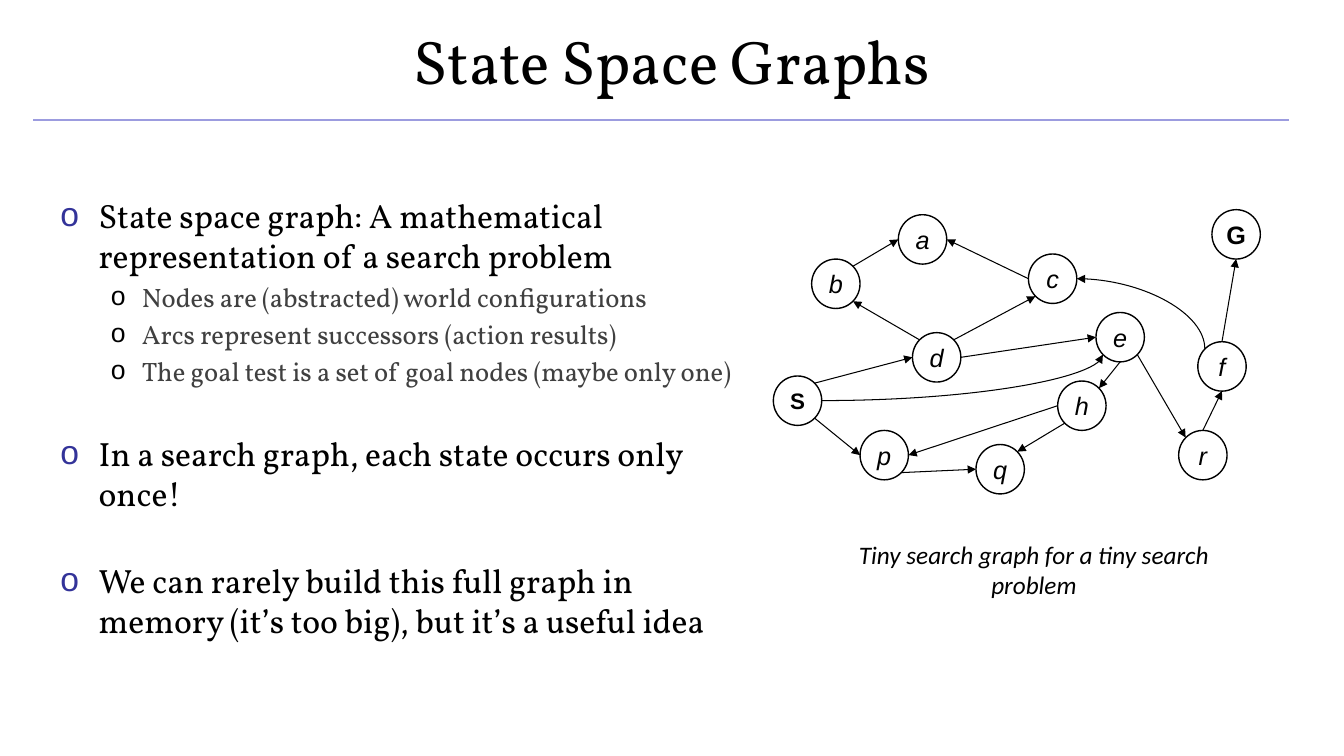
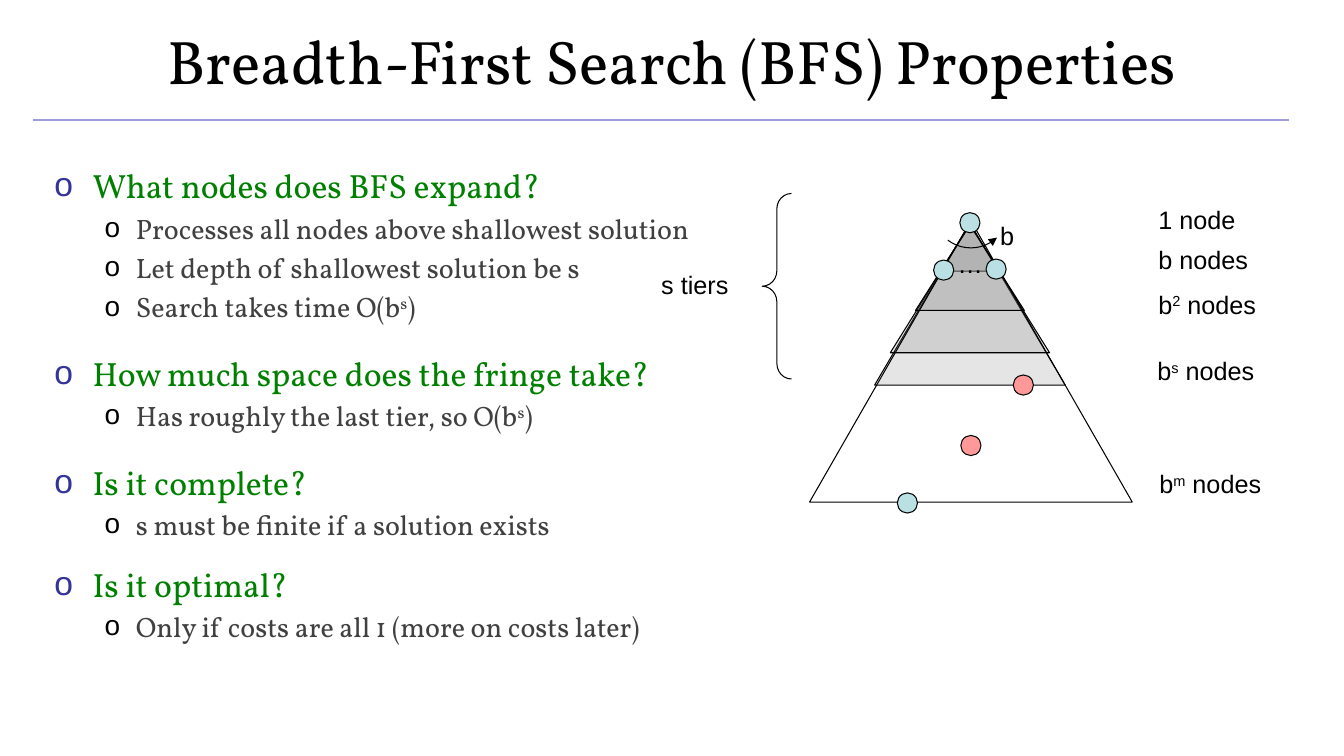
from lxml import etree
from pptx import Presentation
from pptx.dml.color import RGBColor
from pptx.enum.shapes import MSO_CONNECTOR, MSO_SHAPE
from pptx.enum.text import MSO_ANCHOR, MSO_AUTO_SIZE, PP_ALIGN
from pptx.oxml.ns import qn
from pptx.util import Inches, Pt

BLACK = RGBColor(0x00, 0x00, 0x00)
DARK_GRAY = RGBColor(0x40, 0x40, 0x40)
GRAY = RGBColor(0x80, 0x80, 0x80)
GREEN = RGBColor(0x00, 0x80, 0x00)
INDIGO = RGBColor(0x33, 0x33, 0x99)
LAVENDER = RGBColor(0x9C, 0x9C, 0xDF)
PALE_BLUE = RGBColor(0xBB, 0xE0, 0xE3)
PINK = RGBColor(0xFF, 0x99, 0x99)

SERIF, SANS, CAPTION = "Vollkorn", "Arial", "Calibri"
STRAIGHT, CURVE = MSO_CONNECTOR.STRAIGHT, MSO_CONNECTOR.CURVE
CIRCLE, OVAL = MSO_SHAPE.FLOWCHART_CONNECTOR, MSO_SHAPE.OVAL
TRIANGLE, ARC = MSO_SHAPE.ISOSCELES_TRIANGLE, MSO_SHAPE.ARC
BRACE = MSO_SHAPE.LEFT_BRACE
CENTER, LEFT, MIDDLE = PP_ALIGN.CENTER, PP_ALIGN.LEFT, MSO_ANCHOR.MIDDLE
NO_FIT = MSO_AUTO_SIZE.NONE

NODE_W, NODE_H = 0.48, 0.49
DOT = 0.2
DIAGONAL = 0.71
COMPASS = {
    "n": (0, -1), "s": (0, 1), "w": (-1, 0), "e": (1, 0),
    "nw": (-DIAGONAL, -DIAGONAL), "ne": (DIAGONAL, -DIAGONAL),
    "sw": (-DIAGONAL, DIAGONAL), "se": (DIAGONAL, DIAGONAL),
}


class Deck:
    """Holds the shared style and the slide being drawn."""

    def __init__(self):
        self.prs = Presentation()
        self.prs.slide_width, self.prs.slide_height = Inches(13.33), Inches(7.5)
        self.slide = None

    def start_slide(self, heading):
        self.slide = self.prs.slides.add_slide(self.prs.slide_layouts[5])
        title = self.slide.shapes.title
        title.left, title.top = Inches(0), Inches(-0.03)
        title.width, title.height = Inches(13.33), Inches(1.25)
        frame = title.text_frame
        frame.text = heading
        frame.auto_size, frame.vertical_anchor = NO_FIT, MIDDLE
        frame.paragraphs[0].alignment = CENTER
        self.style(frame.paragraphs[0].runs[0].font, 44, BLACK, SERIF)
        self.line((0.33, 1.19), (12.78, 1.19), color=LAVENDER, width=1)

    @staticmethod
    def style(font, size, color, name=SANS, bold=False, italic=False):
        font.name, font.size, font.bold, font.italic = name, Pt(size), bold, italic
        font.color.rgb = color

    @staticmethod
    def add_runs(paragraph, text):
        """Parts between carets are raised."""
        for number, part in enumerate(text.split("^")):
            run = paragraph.add_run()
            run.text = part
            if number % 2:
                run._r.get_or_add_rPr().set("baseline", "30000")

    @staticmethod
    def arrowhead(shape, end):
        head = etree.SubElement(shape.line._get_or_add_ln(), qn(f"a:{end}"))
        head.set("type", "triangle")

    def line(self, start, end, kind=STRAIGHT, color=BLACK, width=0.75, arrow=None):
        points = [Inches(value) for value in (*start, *end)]
        link = self.slide.shapes.add_connector(kind, *points)
        link.line.color.rgb, link.line.width = color, Pt(width)
        if arrow:
            self.arrowhead(link, arrow)
        properties = link._element.spPr
        etree.SubElement(properties, qn("a:effectLst"))
        if kind == CURVE:
            # A single bend: leaves sideways, arrives upright
            properties.find(qn("a:prstGeom")).set("prst", "curvedConnector2")

    def shape(self, kind, left, top, width, height, fill=None, line=0.75, alpha=None):
        box = [Inches(value) for value in (left, top, width, height)]
        shape = self.slide.shapes.add_shape(kind, *box)
        shape.shadow.inherit = False
        shape.line.color.rgb, shape.line.width = BLACK, Pt(line)
        if fill is None:
            shape.fill.background()
        else:
            shape.fill.solid()
            shape.fill.fore_color.rgb = fill
        if alpha:
            color = shape._element.spPr.find(qn("a:solidFill"))[0]
            etree.SubElement(color, qn("a:alpha")).set("val", str(alpha * 1000))
        return shape

    def node(self, name, left, top):
        frame = self.shape(CIRCLE, left, top, NODE_W, NODE_H, line=1).text_frame
        frame.text = name
        frame.word_wrap, frame.vertical_anchor = False, MIDDLE
        frame.paragraphs[0].alignment = CENTER
        state = name.islower()
        self.style(frame.paragraphs[0].runs[0].font, 16 if name == "S" else 18,
                   BLACK, bold=not state, italic=state)

    def dot(self, left, top, fill):
        self.shape(OVAL, left, top, DOT, DOT, fill)

    def text_box(self, left, top, width, height):
        box = [Inches(value) for value in (left, top, width, height)]
        frame = self.slide.shapes.add_textbox(*box).text_frame
        frame.word_wrap = True
        return frame

    def label(self, text, left, top, width, height=0.4, name=SANS,
              italic=False, align=LEFT):
        paragraph = self.text_box(left, top, width, height).paragraphs[0]
        self.add_runs(paragraph, text)
        paragraph.alignment = align
        for run in paragraph.runs:
            self.style(run.font, 18, BLACK, name, italic=italic)

    def outline(self, groups, left, top, width, height, color, sub_size):
        """Each group is its gap above, its main point and its sub-points."""
        frame = self.text_box(left, top, width, height)
        paragraph = frame.paragraphs[0]
        for gap, point, details in groups:
            if gap:
                paragraph = frame.add_paragraph()
            self.bullet(paragraph, point, 0, 24, color, gap)
            for detail in details:
                self.bullet(frame.add_paragraph(), detail, 1, sub_size,
                            DARK_GRAY, sub_size * 0.2)

    def bullet(self, paragraph, text, level, size, color, gap):
        self.add_runs(paragraph, text)
        paragraph.level = level
        paragraph.line_spacing, paragraph.space_before = Pt(size * 1.2), Pt(gap)
        margin, hang, mark = ((0.38, 0.38, INDIGO), (0.81, 0.31, BLACK))[level]
        properties = paragraph._p.get_or_add_pPr()
        properties.set("marL", str(Inches(margin)))
        properties.set("indent", str(-Inches(hang)))
        tint = etree.SubElement(properties, qn("a:buClr"))
        etree.SubElement(tint, qn("a:srgbClr")).set("val", str(mark))
        etree.SubElement(properties, qn("a:buFont")).set("typeface", SANS)
        etree.SubElement(properties, qn("a:buChar")).set("char", "o")
        for run in paragraph.runs:
            self.style(run.font, size, color, SERIF)


def state_space_graphs(deck):
    deck.start_slide("State Space Graphs")
    deck.outline([
        (0, "State space graph: A mathematical representation of a search problem",
         ["Nodes are (abstracted) world configurations",
          "Arcs represent successors (action results)",
          "The goal test is a set of goal nodes (maybe only one)"]),
        (33, "In a search graph, each state occurs only once!", []),
        (33, "We can rarely build this full graph in memory (it’s too big), "
             "but it’s a useful idea", []),
    ], 0.5, 1.88, 6.92, 4.88, BLACK, 19)

    # Graph nodes
    nodes = {
        "S": (7.67, 3.73), "G": (12.02, 2.08), "d": (9.05, 3.3), "b": (8.05, 2.57),
        "p": (8.53, 4.27), "q": (9.68, 4.41), "c": (10.2, 2.52), "e": (10.87, 3.1),
        "h": (10.49, 3.78), "a": (8.91, 2.13), "f": (11.88, 3.39), "r": (11.69, 4.27),
    }
    for name, place in nodes.items():
        deck.node(name, *place)

    def port(name, side):
        (left, top), (across, down) = nodes[name], COMPASS[side]
        return left + NODE_W / 2 * (1 + across), top + NODE_H / 2 * (1 + down)

    # Graph arcs: node and side at each end
    for source, out, target, into in (
        ("S", "se", "p", "w"), ("p", "se", "q", "w"), ("h", "sw", "q", "ne"),
        ("h", "w", "p", "e"), ("e", "s", "h", "ne"), ("e", "se", "r", "nw"),
        ("r", "n", "f", "s"), ("f", "n", "G", "s"), ("S", "ne", "d", "w"),
        ("d", "nw", "b", "se"), ("b", "ne", "a", "w"), ("c", "w", "a", "e"),
        ("d", "ne", "c", "sw"), ("d", "e", "e", "w"),
    ):
        deck.line(port(source, out), port(target, into), arrow="tailEnd")
    deck.line(port("c", "e"), port("f", "nw"), CURVE, arrow="headEnd")
    deck.line(port("S", "e"), port("e", "sw"), CURVE, arrow="tailEnd")

    deck.label("Tiny search graph for a tiny search problem", 8.42, 5.3, 3.67, 0.71,
               CAPTION, italic=True, align=CENTER)


def bfs_properties(deck):
    deck.start_slide("Breadth-First Search (BFS) Properties")

    # Search tree: shaded tiers, then the whole tree
    apex = 9.62
    for top, width, height in ((2.23, 0.59, 0.46), (2.21, 1.89, 1.61),
                               (2.23, 1.58, 1.27), (2.23, 1.08, 0.85)):
        deck.shape(TRIANGLE, apex - width / 2, top, width, height, GRAY, alpha=20)
    deck.shape(TRIANGLE, 8.03, 2.19, 3.2, 2.79)

    deck.outline([
        (0, "What nodes does BFS expand?",
         ["Processes all nodes above shallowest solution",
          "Let depth of shallowest solution be s",
          "Search takes time O(b^s^)"]),
        (21, "How much space does the fringe take?",
         ["Has roughly the last tier, so O(b^s^)"]),
        (21, "Is it complete?", ["s must be finite if a solution exists"]),
        (16, "Is it optimal?", ["Only if costs are all 1 (more on costs later)"]),
    ], 0.44, 1.59, 6.78, 5.11, GREEN, 20)

    # Tree nodes
    for left, top in ((9.52, 2.11), (9.26, 2.58), (9.78, 2.57), (8.9, 4.89)):
        deck.dot(left, top, PALE_BLUE)
    for left, top in ((10.05, 3.72), (9.53, 4.32)):
        deck.dot(left, top, PINK)

    # Branching factor; arc angles are in units of 5/3 degree
    branching = deck.shape(ARC, 9.25, 1.7, 0.76, 0.76)
    branching.adjustments[0], branching.adjustments[1] = 47 * 0.6, 127 * 0.6
    deck.arrowhead(branching, "headEnd")
    deck.label("…", 9.4, 2.41, 0.3)
    deck.label("b", 9.82, 2.14, 0.33)

    # Tier sizes and depth
    for text, left, top in (("1 node", 11.39, 1.98), ("b nodes", 11.39, 2.37),
                            ("b^2^ nodes", 11.39, 2.82), ("b^s^ nodes", 11.38, 3.48),
                            ("b^m^ nodes", 11.4, 4.6)):
        deck.label(text, left, top, 1.6)
    tiers = deck.shape(BRACE, 7.56, 1.92, 0.29, 1.84)
    tiers.adjustments[0] = 0.53
    deck.label("s tiers", 6.46, 2.62, 1.38)


def main():
    deck = Deck()
    state_space_graphs(deck)
    bfs_properties(deck)
    deck.prs.save("out.pptx")


if __name__ == "__main__":
    main()
